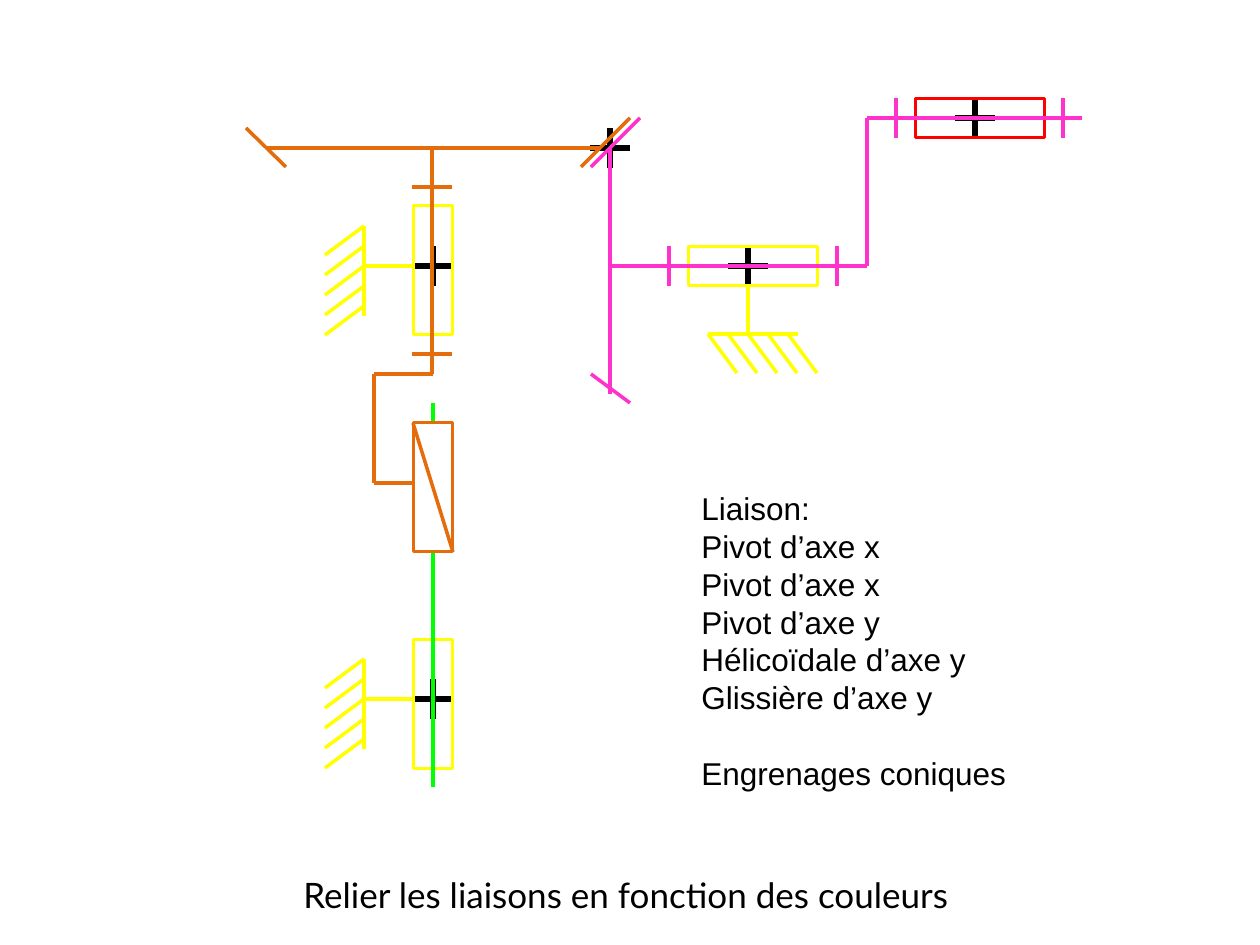
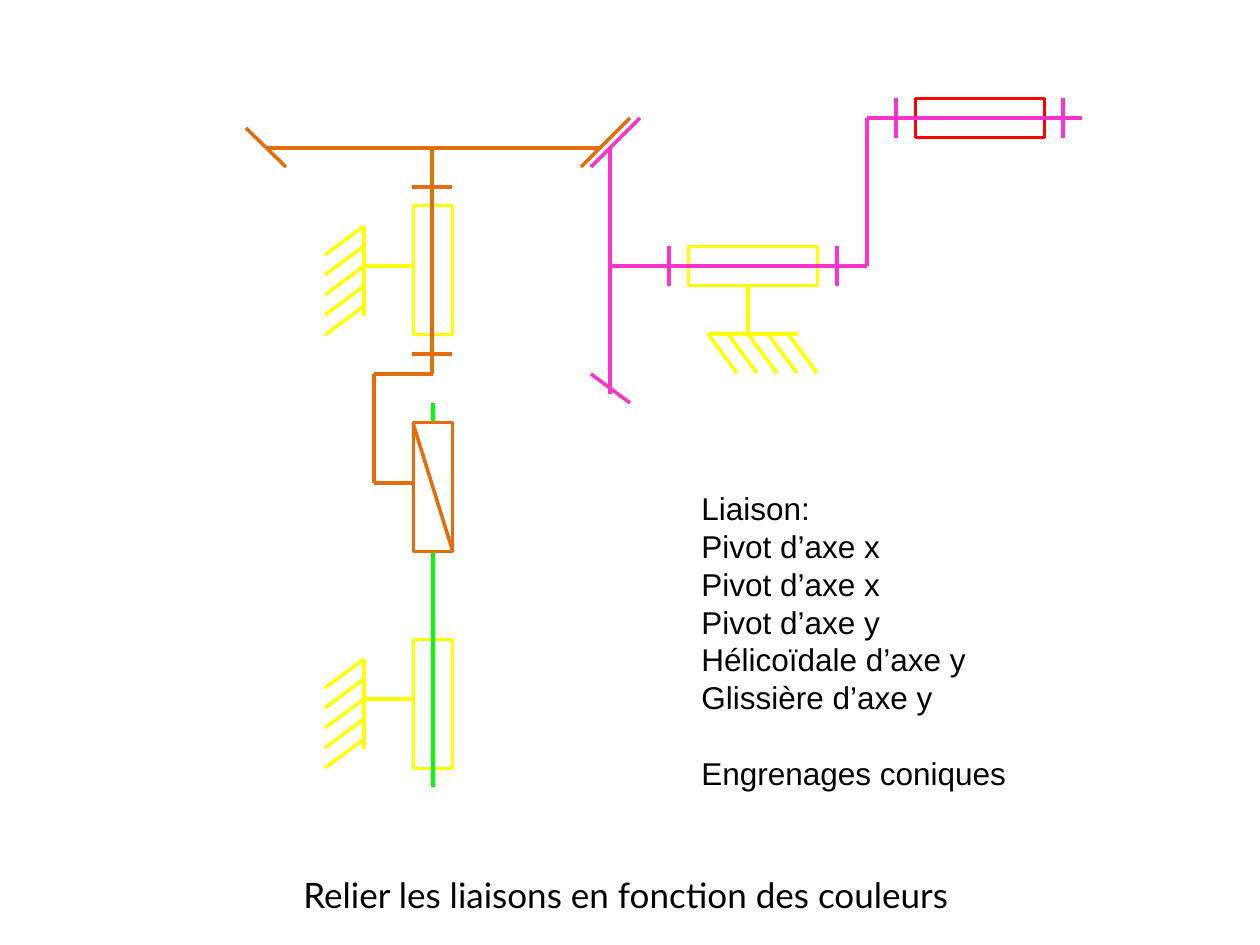
"""Build two slides of a kinematic diagram, with and without its joint centres."""
import dataclasses

import pptx
import pptx.dml.color
import pptx.enum.shapes
import pptx.enum.text
import pptx.oxml
import pptx.oxml.ns
import pptx.util


@dataclasses.dataclass(frozen=True)
class Theme:
    black: str = "000000"
    white: str = "FFFFFF"
    frame: str = "FFFF00"
    screw: str = "E46C0A"
    slider: str = "00FF00"
    crank: str = "FF33CC"
    follower: str = "FF0000"
    link_width: int = 2
    centre_width: int = 3
    list_font: str = "Arial"
    list_size: int = 18
    list_pitch: float = 21.6
    caption_font: str = "Lato"
    caption_size: int = 20


THEME = Theme()
EMU_PER_PX = 914400 / 126
SLIDE_SIZE = (1260, 945)

JOINTS = ["Liaison:", "Pivot d’axe x", "Pivot d’axe x", "Pivot d’axe y",
          "Hélicoïdale d’axe y", "Glissière d’axe y"]
GEARS = "Engrenages coniques"
CAPTION = "Relier les liaisons en fonction des couleurs"
JOINTS_BOX = (689, 483, 473, 315)
CAPTION_BOX = (291, 867, 733, 55)

ARM = 20
JOINT_CENTRES = [(433, 699), (975, 118), (748, 266), (433, 266), (610, 148)]

HOUSING_LENGTH, HOUSING_DEPTH = 129, 39
HOUSINGS = [
    {"centre": (980, 118), "axis": "x", "color": THEME.follower},
    {"centre": (753, 266), "axis": "x", "color": THEME.frame},
    {"centre": (433, 270), "axis": "y", "color": THEME.frame},
    {"centre": (433, 487), "axis": "y", "color": THEME.screw, "fill": THEME.white},
    {"centre": (433, 704), "axis": "y", "color": THEME.frame},
]
SHAFTS = [
    {"axis": "x", "at": 118, "span": (867, 1082), "collars": (896, 1063), "color": THEME.crank},
    {"axis": "x", "at": 266, "span": (610, 867), "collars": (669, 837), "color": THEME.crank},
    {"axis": "y", "at": 432, "span": (148, 374), "collars": (187, 354), "color": THEME.screw},
]

BEHIND = [
    (THEME.screw, (423, 483, 374, 483)),
    (THEME.slider, (433, 403, 433, 620)),
]
IN_FRONT = [
    (THEME.screw, (413, 423, 453, 552)),
    (THEME.slider, (433, 620, 433, 787)),
    (THEME.screw, (581, 167, 630, 118)),
    (THEME.crank, (591, 167, 640, 118)),
    (THEME.crank, (610, 148, 610, 394)),
    (THEME.crank, (591, 374, 630, 403)),
    (THEME.screw, (601, 148, 266, 148)),
    (THEME.screw, (246, 128, 286, 167)),
    (THEME.crank, (867, 118, 867, 266)),
    (THEME.screw, (433, 374, 374, 374)),
    (THEME.screw, (374, 374, 374, 483)),
]

GROUNDS = [((748, 334), "down"), ((364, 266), "left"), ((364, 699), "left")]
STUB, PLATE_END = 49, 50
HATCH_COUNT, HATCH_PITCH, HATCH_RUN, HATCH_DEPTH = 5, 20, 29, 39


def px(length):
    return pptx.util.Emu(round(length * EMU_PER_PX))


def rgb(color):
    return pptx.dml.color.RGBColor.from_string(color)


def draw_link(shapes, ends, color, width=THEME.link_width):
    link = shapes.add_connector(pptx.enum.shapes.MSO_CONNECTOR.STRAIGHT, *map(px, ends))
    link.line.color.rgb = rgb(color)
    link.line.width = pptx.util.Pt(width)
    properties = link._element.spPr
    properties.append(properties.makeelement(pptx.oxml.ns.qn("a:effectLst"), {}))


def draw_group(slide, links, color, width=THEME.link_width):
    group = slide.shapes.add_group_shape()
    for ends in links:
        draw_link(group.shapes, ends, color, width)


def centre_links(x, y):
    return [(x - ARM, y, x + ARM, y), (x, y - ARM, x, y + ARM)]


def shaft_links(axis, at, span, collars):
    links = [(span[0], at, span[1], at)]
    links += [(collar, at - ARM, collar, at + ARM) for collar in collars]
    if axis == "y":
        links = [(y1, x1, y2, x2) for x1, y1, x2, y2 in links]
    return links


def ground_links(foot, facing):
    x, y = foot

    def place(along, depth):
        return (x + along, y + depth) if facing == "down" else (x - depth, y + along)

    first = -HATCH_PITCH * (HATCH_COUNT // 2)
    starts = [first + HATCH_PITCH * i for i in range(HATCH_COUNT)]
    links = [place(0, 0) + place(0, -STUB), place(first, 0) + place(PLATE_END, 0)]
    return links + [place(s, 0) + place(s + HATCH_RUN, HATCH_DEPTH) for s in starts]


def draw_housing(slide, centre, axis, color, fill=None):
    corner = (centre[0] - HOUSING_LENGTH / 2, centre[1] - HOUSING_DEPTH / 2)
    housing = slide.shapes.add_shape(
        pptx.enum.shapes.MSO_SHAPE.RECTANGLE,
        *map(px, (*corner, HOUSING_LENGTH, HOUSING_DEPTH)))
    housing.rotation = 90 if axis == "y" else 0
    housing.shadow.inherit = False
    housing.line.color.rgb = rgb(color)
    housing.line.width = pptx.util.Pt(THEME.link_width)
    if fill:
        housing.fill.solid()
        housing.fill.fore_color.rgb = rgb(fill)
    else:
        housing.fill.background()


def add_text(slide, box, lines, font, size, wrap):
    frame = slide.shapes.add_textbox(*map(px, box)).text_frame
    frame.word_wrap = wrap
    frame.auto_size = pptx.enum.text.MSO_AUTO_SIZE.SHAPE_TO_FIT_TEXT
    for i, line in enumerate(lines):
        paragraph = frame.add_paragraph() if i else frame.paragraphs[0]
        run = paragraph.add_run()
        run.text = line
        run.font.name = font
        run.font.size = pptx.util.Pt(size)
        run.font.color.rgb = rgb(THEME.black)
    return frame.paragraphs


def build_diagram(slide, with_centres):
    for color, ends in BEHIND:
        draw_link(slide.shapes, ends, color)
    if with_centres:
        for centre in JOINT_CENTRES:
            draw_group(slide, centre_links(*centre), THEME.black, THEME.centre_width)
    for housing in HOUSINGS:
        draw_housing(slide, **housing)
    for shaft in SHAFTS:
        geometry = {key: value for key, value in shaft.items() if key != "color"}
        draw_group(slide, shaft_links(**geometry), shaft["color"])
    for color, ends in IN_FRONT:
        draw_link(slide.shapes, ends, color)
    for foot, facing in GROUNDS:
        draw_group(slide, ground_links(foot, facing), THEME.frame)


def build_texts(slide):
    joints = add_text(slide, JOINTS_BOX, JOINTS + [GEARS], THEME.list_font, THEME.list_size, True)
    for paragraph in joints:
        paragraph.line_spacing = pptx.util.Pt(THEME.list_pitch)
    joints[-1].space_before = pptx.util.Pt(THEME.list_pitch)
    add_text(slide, CAPTION_BOX, [CAPTION], THEME.caption_font, THEME.caption_size, False)


def main():
    deck = pptx.Presentation()
    deck.slide_width, deck.slide_height = map(px, SLIDE_SIZE)
    for with_centres in (True, False):
        slide = deck.slides.add_slide(deck.slide_layouts[6])
        build_diagram(slide, with_centres)
        build_texts(slide)
    deck.save("out.pptx")


if __name__ == "__main__":
    main()
